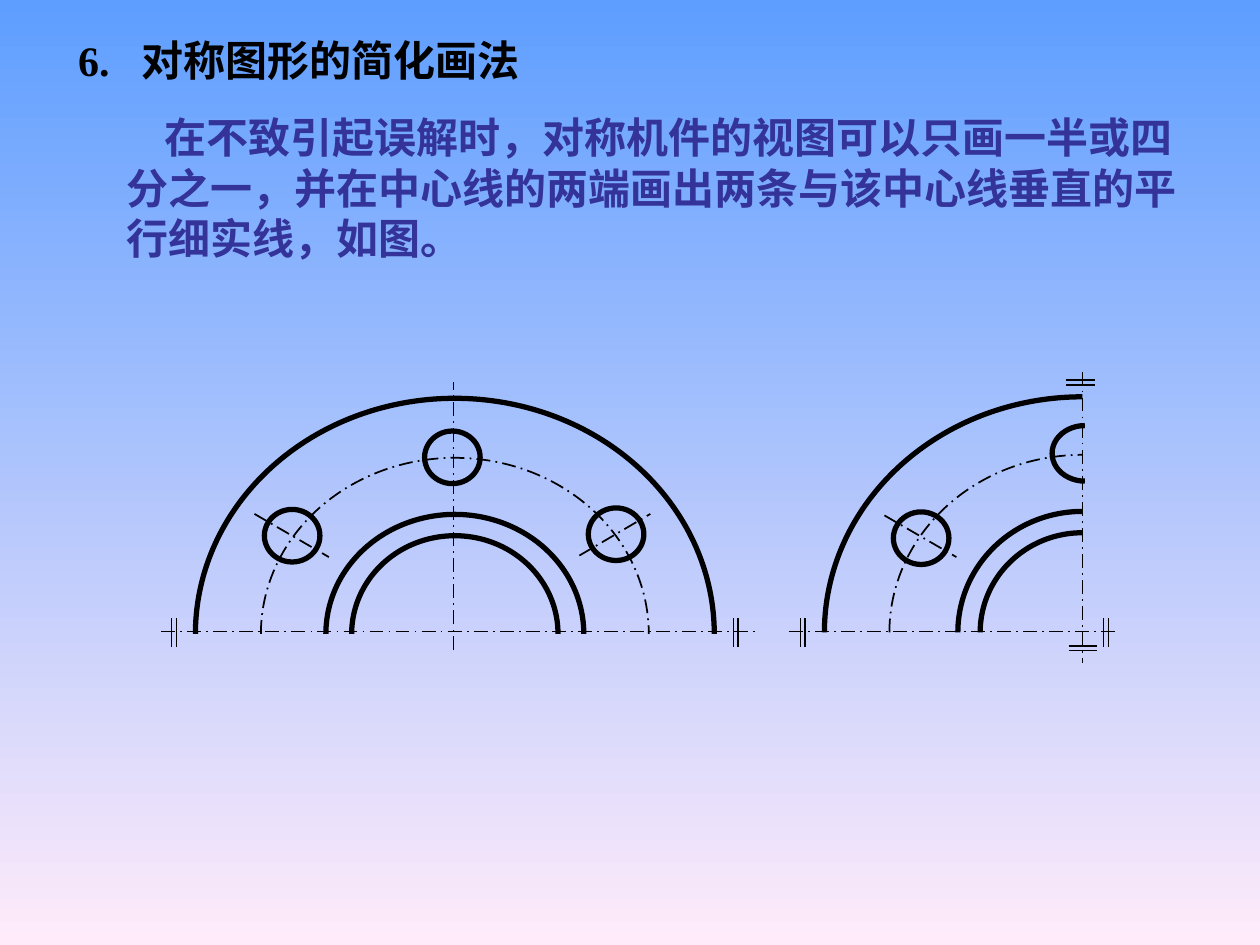
from dataclasses import dataclass
from lxml.etree import SubElement
from pptx import Presentation
from pptx.dml.color import RGBColor
from pptx.enum.dml import MSO_LINE
from pptx.enum.shapes import MSO_CONNECTOR, MSO_SHAPE
from pptx.enum.text import MSO_ANCHOR, MSO_AUTO_SIZE, PP_ALIGN
from pptx.oxml.ns import qn
from pptx.util import Cm, Pt


@dataclass(frozen=True)
class Theme:
    sky: str = "5E9EFF"
    rose: str = "FFEBFA"
    ink: str = "000000"
    body: str = "333399"
    latin: str = "Times New Roman"
    han: str = "Noto Sans CJK SC"
    size: float = 24
    lead: float = 28.8
    bold: float = 3
    axis: float = 1
    thin: float = 0.75


class Board:
    def __init__(self, deck, theme):
        self.theme = theme
        self.slide = deck.slides.add_slide(deck.slide_layouts[5])
        self.shapes = self.slide.shapes

    def back(self):
        fill = self.slide.background.fill
        fill.gradient()
        fill.gradient_angle = 270
        tones = (self.theme.sky, self.theme.rose)
        for stop, tone, spot in zip(fill.gradient_stops, tones, (0, 1)):
            stop.color.rgb = RGBColor.from_string(tone)
            stop.position = spot

    def letter(self, box, parts, tone, tab=None, indent=0):
        frame = box.text_frame
        frame.word_wrap = True
        frame.auto_size = MSO_AUTO_SIZE.SHAPE_TO_FIT_TEXT
        frame.vertical_anchor = MSO_ANCHOR.TOP
        para = frame.paragraphs[0]
        para.text = parts[0][0]
        for words, face in parts[1:]:
            para.add_run().text = words
        para.alignment = PP_ALIGN.LEFT
        para.line_spacing = Pt(self.theme.lead)
        props = para._p.get_or_add_pPr()
        props.set("indent", str(Cm(indent)))
        if tab:
            stops = SubElement(props, qn("a:tabLst"))
            SubElement(stops, qn("a:tab"), pos=str(Cm(tab)), algn="l")
        for run, (words, face) in zip(para.runs, parts):
            font = run.font
            font.size = Pt(self.theme.size)
            font.bold = True
            font.color.rgb = RGBColor.from_string(tone)
            font.name = face
            SubElement(run._r.get_or_add_rPr(), qn("a:ea"), typeface=face)

    def title(self, left, top, width, height, parts, tab):
        box = self.shapes.title
        box.left, box.top = Cm(left), Cm(top)
        box.width, box.height = Cm(width), Cm(height)
        self.letter(box, parts, self.theme.ink, tab=tab)

    def text(self, left, top, width, height, words, indent):
        box = self.shapes.add_textbox(Cm(left), Cm(top), Cm(width), Cm(height))
        self.letter(box, [(words, self.theme.han)], self.theme.body, indent=indent)

    def pen(self, line, width, dash=False):
        line.color.rgb = RGBColor.from_string(self.theme.ink)
        line.width = Pt(width)
        if dash:
            line.dash_style = MSO_LINE.LONG_DASH_DOT

    def oval(self, x, y, rx, ry, span=None, dash=False):
        kind = MSO_SHAPE.ARC if span else MSO_SHAPE.OVAL
        shape = self.shapes.add_shape(
            kind, Cm(x - rx), Cm(y - ry), Cm(2 * rx), Cm(2 * ry))
        shape.shadow.inherit = False
        shape.fill.background()
        self.pen(shape.line, self.theme.axis if dash else self.theme.bold, dash)
        for i, angle in enumerate(span or ()):
            shape.adjustments[i] = angle * 0.6

    def rings(self, x, y, radii, span):
        for i, (rx, ry) in enumerate(radii):
            self.oval(x, y, rx, ry, span, dash=i == 1)

    def hole(self, x, y):
        self.oval(x, y, 0.56, 0.53)

    def line(self, x1, y1, x2, y2, width, dash=False):
        link = self.shapes.add_connector(
            MSO_CONNECTOR.STRAIGHT, Cm(x1), Cm(y1), Cm(x2), Cm(y2))
        self.pen(link.line, width, dash)
        SubElement(link._element.spPr, qn("a:effectLst"))

    def axis(self, x1, y1, x2, y2):
        self.line(x1, y1, x2, y2, self.theme.axis, dash=True)

    def mark(self, x, y, flat=False):
        half = 0.29
        for gap in (-0.05, 0.05):
            if flat:
                ends = (x - half, y + gap, x + half, y + gap)
            else:
                ends = (x + gap, y - half, x + gap, y + half)
            self.line(*ends, self.theme.thin)


def main():
    deck = Presentation()
    deck.slide_width, deck.slide_height = Cm(25.4), Cm(19.05)
    theme = Theme()
    board = Board(deck, theme)
    board.back()
    board.title(1.32, 0.56, 17.81, 1.27,
                [("6.\t", theme.latin), ("对称图形的简化画法", theme.han)], 1.25)
    board.text(2.31, 2.13, 22, 3.3,
               "在不致引起误解时，对称机件的视图可以只画一半或四分之一，"
               "并在中心线的两端画出两条与该中心线垂直的平行细实线，如图。", 0.76)

    board.rings(9.17, 12.78,
                [(5.23, 4.75), (3.91, 3.55), (2.6, 2.41), (2.08, 1.98)],
                (180, 0))
    board.rings(21.82, 12.75,
                [(5.2, 4.75), (3.89, 3.58), (2.51, 2.44), (2.06, 2.01)],
                (180, 270))
    board.oval(21.87, 9.14, 0.66, 0.56, (90, 270))

    for spot in [(9.12, 9.22), (12.42, 10.77), (5.89, 10.8), (18.57, 10.85)]:
        board.hole(*spot)

    for ends in [
        (3.25, 12.73, 15.27, 12.73), (9.14, 13.11, 9.14, 7.7),
        (11.68, 11.2, 13.11, 10.36), (5.13, 10.36, 6.63, 11.23),
        (15.9, 12.73, 22.53, 12.73), (21.82, 7.49, 21.82, 13.36),
        (17.83, 10.39, 19.28, 11.23),
    ]:
        board.axis(*ends)

    for x in (3.51, 14.83, 16.18, 22.3):
        board.mark(x, 12.75)
    for x, y in [(21.78, 7.71), (21.83, 13.07)]:
        board.mark(x, y, flat=True)

    deck.save("out.pptx")


if __name__ == "__main__":
    main()
